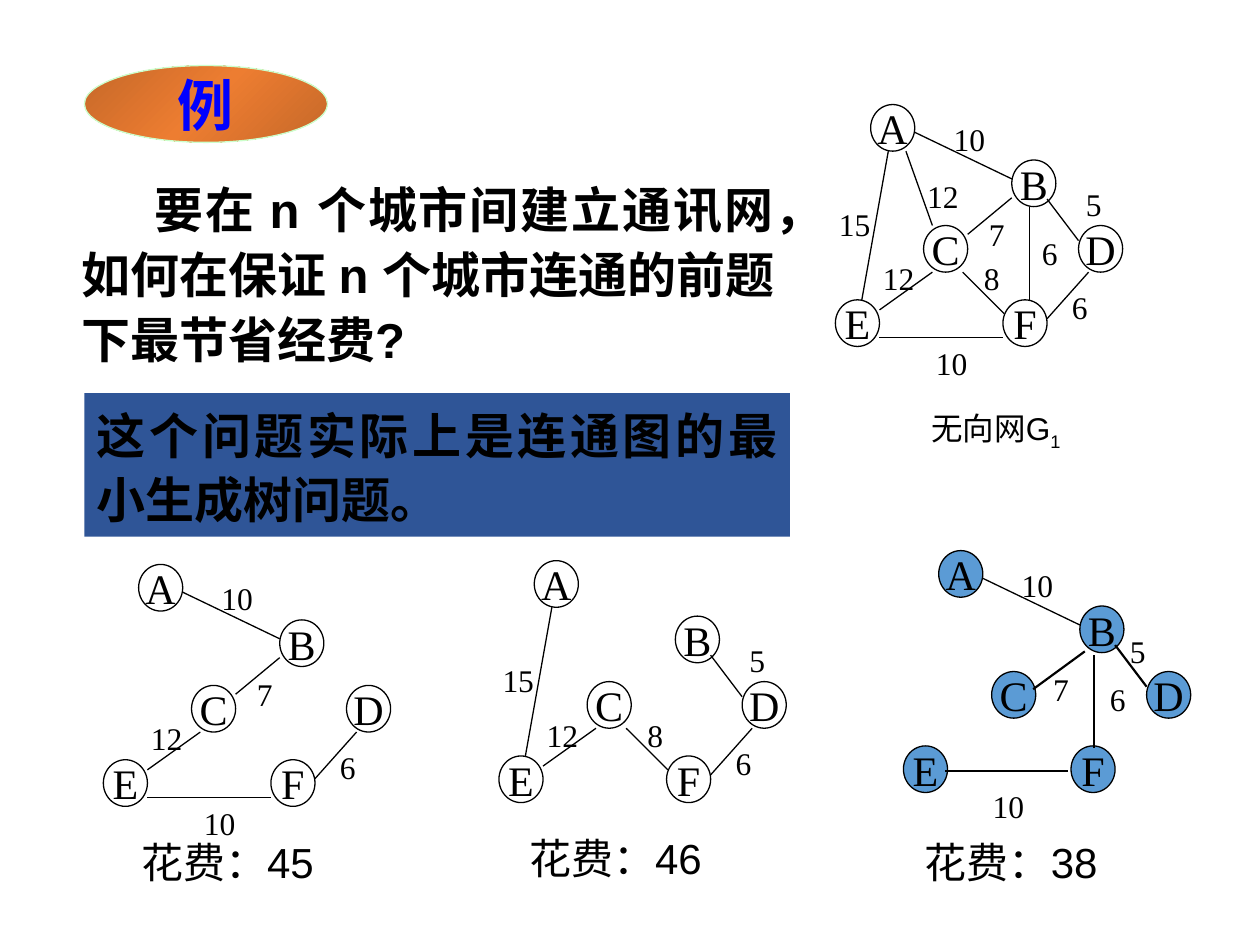
from pptx import Presentation
from pptx.util import Inches, Pt
from pptx.dml.color import RGBColor
from pptx.enum import shapes, text
from pptx.oxml.ns import qn
from copy import deepcopy
from lxml import etree

BLACK = RGBColor(0, 0, 0)
BLUE = RGBColor(0, 0, 0xFF)
SKY = RGBColor(0x5B, 0x9B, 0xD5)
NAVY = RGBColor(0x2F, 0x55, 0x97)
MINT = RGBColor(0xCC, 0xFF, 0xCC)
RUST = RGBColor(0xC6, 0x68, 0x29)
AMBER = RGBColor(0xED, 0x7D, 0x31)
SERIF, SANS = "Times New Roman", "Arial"
MID, LEFT, FULL = text.PP_ALIGN.CENTER, text.PP_ALIGN.LEFT, text.PP_ALIGN.JUSTIFY

TASK = "要在 n 个城市间建立通讯网，如何在保证 n 个城市连通的前题下最节省经费?"
ANSWER = "这个问题实际上是连通图的最小生成树问题。"

# Places below are offsets from the top left of each graph.
NODES = {"A": (0.28, 0), "B": (1.4, 0.44), "C": (0.7, 0.96),
         "D": (1.93, 0.96), "E": (0, 1.55), "F": (1.33, 1.55)}
NODE_W, NODE_H = 0.35, 0.37

# edge: cost, line start, line end, label place, line width
EDGES = {
    "AE": (15, (0.42, 0.37), (0.21, 1.55), (-0.07, 0.75), 0.75),
    "AC": (12, (0.56, 0.37), (0.77, 0.96), (0.63, 0.53), 0.75),
    "CE": (12, (0.77, 1.33), (0.35, 1.63), (0.28, 1.18), 0.75),
    "EF": (10, (0.35, 1.85), (1.33, 1.85), (0.7, 1.85), 0.75),
    "AB": (10, (0.63, 0.22), (1.4, 0.59), (0.84, 0.07), 0.75),
    "BC": (7, (1.05, 1.03), (1.4, 0.74), (1.12, 0.83), 0.75),
    "BF": (6, (1.54, 0.81), (1.54, 1.55), (1.54, 0.98), 0.75),
    "BD": (5, (1.68, 0.75), (1.93, 1.08), (1.89, 0.59), 0.75),
    "DF": (6, (1.68, 1.7), (2.01, 1.33), (1.78, 1.41), 0.75),
    "CF": (8, (1.01, 1.33), (1.34, 1.66), (1.08, 1.18), 0.75),
}
BEST = {
    "AB": EDGES["AB"],
    "BC": (7, (1.03, 1.1), (1.44, 0.8), (1.09, 0.9), 1.25),
    "BF": (6, (1.51, 0.83), (1.51, 1.57), (1.54, 0.98), 1),
    "BD": (5, (1.68, 0.75), (1.93, 1.08), (1.7, 0.6), 1.25),
    "EF": (10, (0.33, 1.75), (1.31, 1.75), (0.61, 1.83), 1),
}


def pick(names):
    return {name: EDGES[name] for name in names.split()}


# left, top, edges, node fill
GRAPHS = [
    (6.63, 0.83, EDGES, None),
    (0.82, 4.48, pick("AB BC CE EF DF"), None),
    (3.96, 4.45, pick("AE CE CF DF BD"), None),
    (7.17, 4.37, BEST, SKY),
]
COSTS = [(0.35, 6.59, 45), (3.43, 6.56, 46), (6.57, 6.59, 38)]

deck = Presentation()
deck.slide_width, deck.slide_height = Inches(10), Inches(7.5)
slide = deck.slides.add_slide(deck.slide_layouts[6])


def style(para, size, face, color=BLACK, align=LEFT, bold=False):
    para.alignment = align
    font = para.font
    font.size, font.name, font.bold = Pt(size), face, bold
    font.color.rgb = color


def label(x, y, w, h, words, size, face, align):
    box = slide.shapes.add_textbox(*map(Inches, (x, y, w, h)))
    box.text_frame.word_wrap = True
    para = box.text_frame.paragraphs[0]
    para.text = words
    style(para, size, face, align=align)
    return para


def oval(x, y, w, h, words, size, color=BLACK, bold=False):
    shape = slide.shapes.add_shape(
        shapes.MSO_SHAPE.OVAL, *map(Inches, (x, y, w, h)))
    shape.shadow.inherit = False
    frame = shape.text_frame
    frame.word_wrap = False
    frame.vertical_anchor = text.MSO_ANCHOR.MIDDLE
    frame.text = words
    style(frame.paragraphs[0], size, SERIF, color, MID, bold)
    shape.line.width = Pt(0.75)
    return shape


def graph(left, top, edges, fill):
    for name, (x, y) in NODES.items():
        node = oval(left + x, top + y, NODE_W, NODE_H, name, 24)
        node.line.color.rgb = BLACK
        if fill:
            node.fill.solid()
            node.fill.fore_color.rgb = fill
        else:
            node.fill.background()
    for cost, (x1, y1), (x2, y2), (x, y), width in edges.values():
        line = slide.shapes.add_connector(
            shapes.MSO_CONNECTOR.STRAIGHT, Inches(left + x1), Inches(top + y1),
            Inches(left + x2), Inches(top + y2))
        line.line.color.rgb = BLACK
        line.line.width = Pt(width)
        etree.SubElement(line._element.spPr, qn("a:effectLst"))
        label(left + x, top + y, 0.56, 0.4, str(cost), 18, SERIF, FULL)


def shade(fill):
    """Rust at both ends, amber in the middle."""
    fill.gradient()
    fill.gradient_angle = 315
    first = fill.gradient_stops[0]._gs
    first.addnext(deepcopy(first))
    for stop, color, place in zip(fill.gradient_stops,
                                  (RUST, AMBER, RUST), (0, 0.5, 1)):
        stop.color.rgb = color
        stop.position = place


badge = oval(0.67, 0.52, 1.93, 0.61, "例", 32, BLUE, True)
badge.line.color.rgb = MINT
shade(badge.fill)

task = label(0.55, 1.33, 5.7, 1.65, TASK, 28, SANS, FULL)
task.font.bold = True
task.line_spacing = 1.1
task._p.get_or_add_pPr().set("indent", str(Inches(0.58)))

for item in GRAPHS:
    graph(*item)
title = label(6.87, 3.2, 2.07, 0.4, "无向网G", 18, SANS, MID)
sub = title.add_run()
sub.text = "1"
sub.font._element.set("baseline", "-25000")
for x, y, cost in COSTS:
    label(x, y, 2.91, 0.5, f"花费：{cost}", 24, SANS, MID)

panel = slide.shapes.add_shape(
    shapes.MSO_SHAPE.RECTANGLE, *map(Inches, (0.67, 3.12, 5.6, 1.14)))
panel.shadow.inherit = False
panel.fill.solid()
panel.fill.fore_color.rgb = NAVY
panel.line.fill.background()
panel.text_frame.word_wrap = True
panel.text_frame.vertical_anchor = text.MSO_ANCHOR.TOP
panel.text_frame.text = ANSWER
reply = panel.text_frame.paragraphs[0]
style(reply, 28, SANS, align=FULL, bold=True)
reply.line_spacing = 1.1

deck.save("out.pptx")
